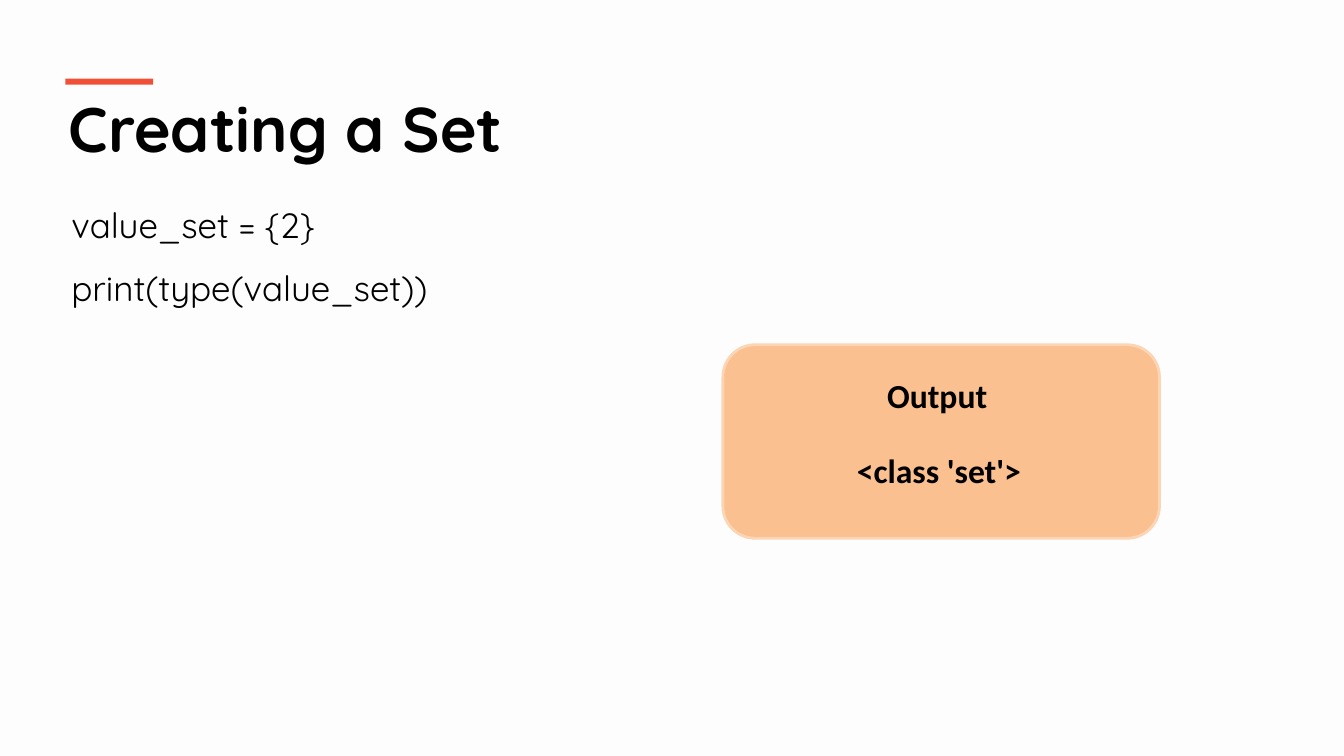
import pptx
import pptx.util
import pptx.dml.color
import pptx.enum.shapes
import pptx.enum.text
from dataclasses import dataclass
from typing import Optional

Inches = pptx.util.Inches
Pt = pptx.util.Pt
Kind = pptx.enum.shapes.MSO_SHAPE

COLORS = {
    "page": "FDFDFD",
    "ink": "000000",
    "accent": "F05136",
    "panel": "FAC090",
    "edge": "FCD5B5",
}


@dataclass
class Box:
    left: float
    top: float
    width: float
    height: float

    def place(self) -> tuple:
        return tuple(Inches(n) for n in (self.left, self.top, self.width, self.height))


@dataclass
class Label:
    box: Box
    lines: list[str]
    size: float
    font: str
    bold: bool = False
    wrap: bool = True
    space: float = 1.0


@dataclass
class Block:
    box: Box
    kind: Kind
    fill: str
    line: Optional[str] = None


TITLE = Label(Box(0.58, 0.84, 12.18, 0.86), ["Creating a Set"], 45, "Quicksand", bold=True)
BLOCKS = [
    Block(Box(0.65, 0.78, 0.87, 0.06), Kind.RECTANGLE, "accent"),
    Block(Box(7.17, 3.42, 4.33, 1.92), Kind.ROUNDED_RECTANGLE, "panel", "edge"),
]
LABELS = [
    Label(Box(0.61, 1.76, 12.14, 1.31), ["value_set = {2}", "print(type(value_set))"],
          25, "Quicksand", space=1.5),
    Label(Box(8.4, 4.41, 1.85, 0.5), ["<class 'set'>"], 24, "Calibri", bold=True, wrap=False),
    Label(Box(8.7, 3.67, 1.21, 0.5), ["Output"], 24, "Calibri", bold=True, wrap=False),
]


def color(name: str) -> pptx.dml.color.RGBColor:
    return pptx.dml.color.RGBColor.from_string(COLORS[name])


def write(shape, label: Label) -> None:
    frame = shape.text_frame
    frame.word_wrap = label.wrap
    frame.auto_size = pptx.enum.text.MSO_AUTO_SIZE.SHAPE_TO_FIT_TEXT
    frame.vertical_anchor = pptx.enum.text.MSO_ANCHOR.TOP
    for index, line in enumerate(label.lines):
        para = frame.add_paragraph() if index else frame.paragraphs[0]
        para.alignment = pptx.enum.text.PP_ALIGN.LEFT
        para.line_spacing = label.space
        para.space_before = Pt(0)
        run = para.add_run()
        run.text = line
        run.font.name = label.font
        run.font.size = Pt(label.size)
        run.font.bold = label.bold
        run.font.color.rgb = color("ink")


def draw(slide, block: Block) -> None:
    shape = slide.shapes.add_shape(block.kind, *block.box.place())
    shape.shadow.inherit = False
    shape.fill.solid()
    shape.fill.fore_color.rgb = color(block.fill)
    if block.line:
        shape.line.color.rgb = color(block.line)
        shape.line.width = Pt(2)
    else:
        shape.line.fill.background()


def main() -> None:
    deck = pptx.Presentation()
    deck.slide_width = Inches(13.33)
    deck.slide_height = Inches(7.5)
    slide = deck.slides.add_slide(deck.slide_layouts[5])
    slide.background.fill.solid()
    slide.background.fill.fore_color.rgb = color("page")
    title = slide.shapes.title
    title.left, title.top, title.width, title.height = TITLE.box.place()
    write(title, TITLE)
    for block in BLOCKS:
        draw(slide, block)
    for label in LABELS:
        write(slide.shapes.add_textbox(*label.box.place()), label)
    deck.save("out.pptx")


if __name__ == "__main__":
    main()
